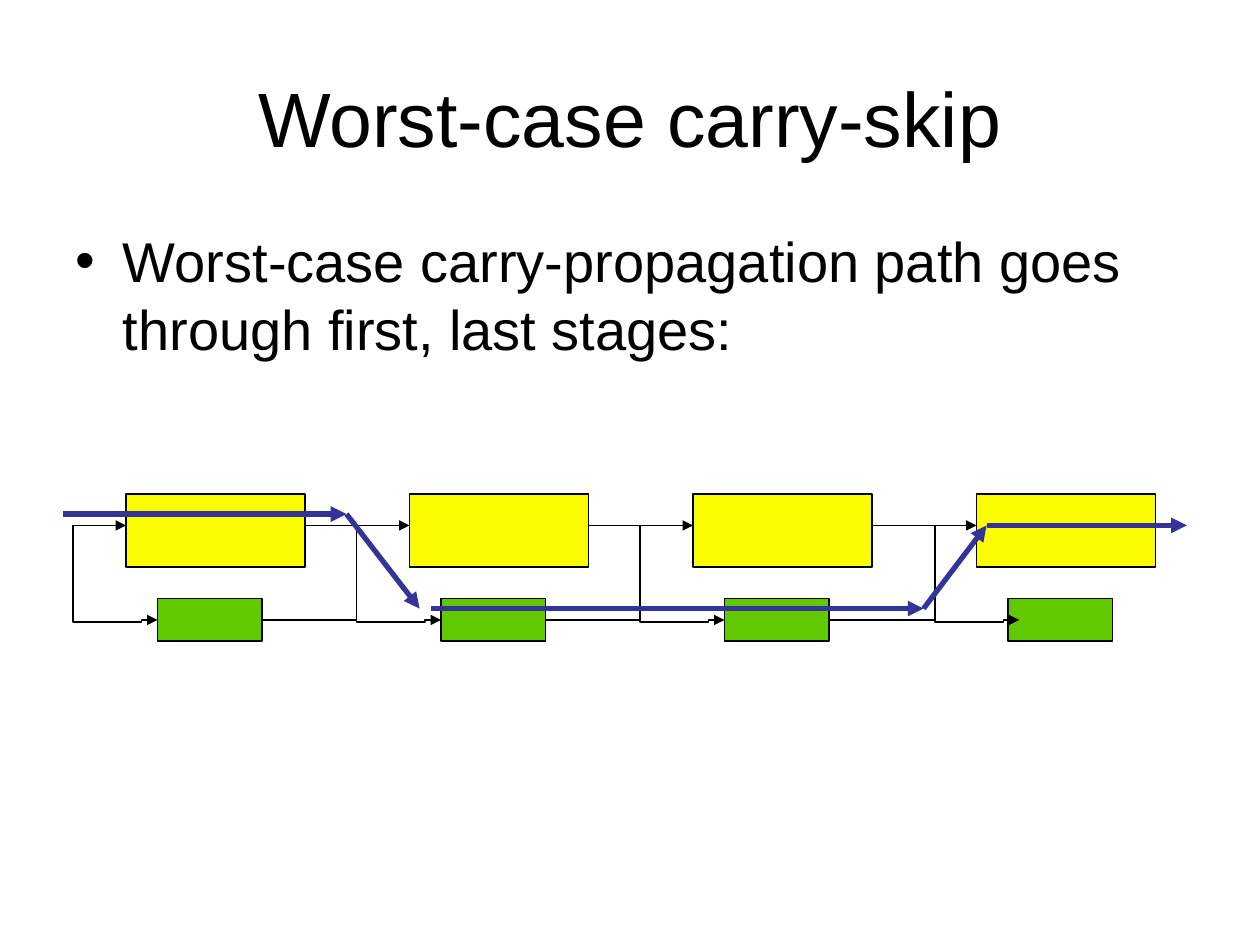
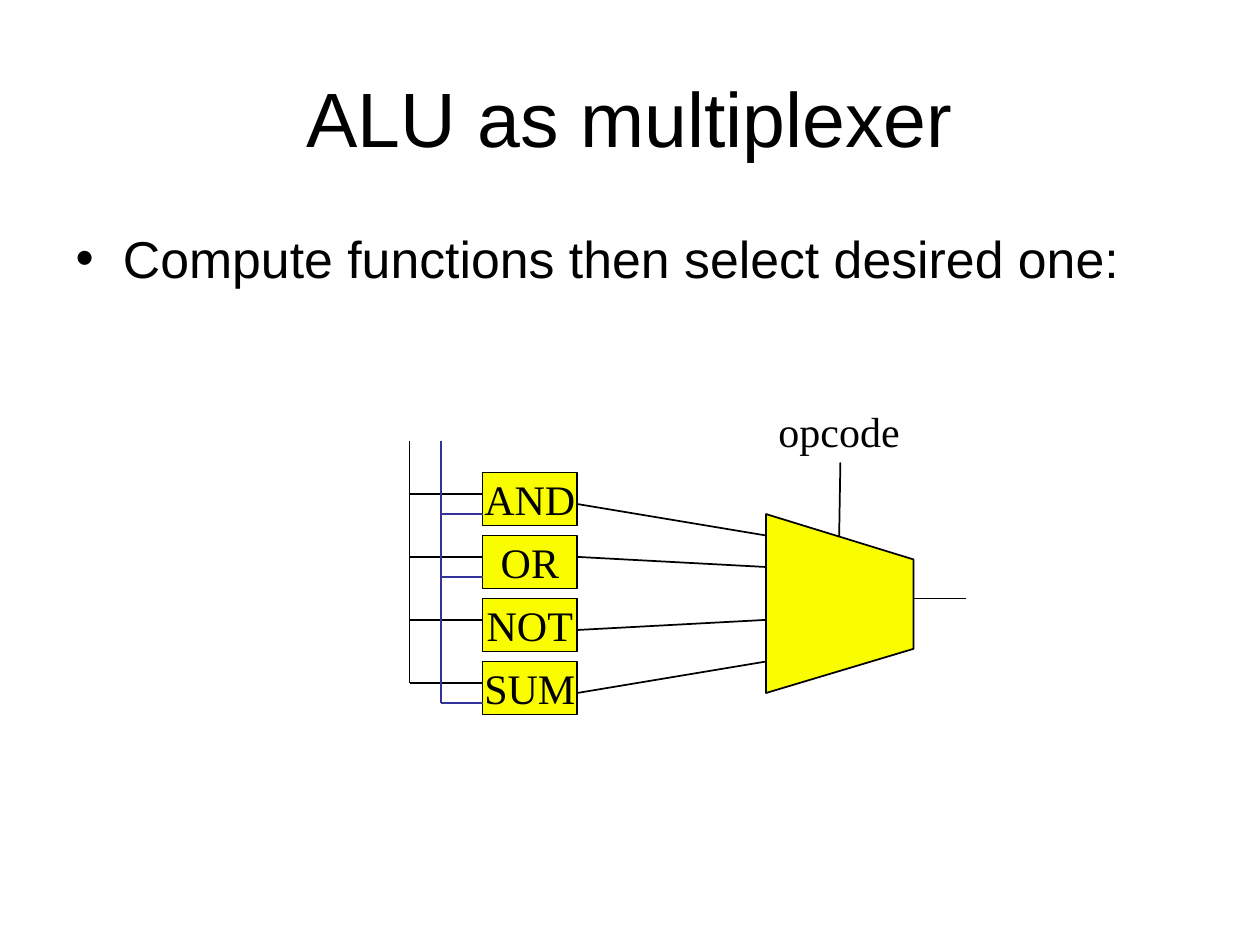
from lxml.etree import SubElement
from pptx import Presentation
from pptx.dml.color import RGBColor
from pptx.enum.shapes import MSO_CONNECTOR, MSO_SHAPE
from pptx.enum.text import MSO_ANCHOR, MSO_AUTO_SIZE, PP_ALIGN
from pptx.oxml.ns import qn
from pptx.util import Inches, Pt

BLACK, YELLOW, GREEN, BLUE = "000000", "FAFD00", "60C900", "333399"
HEADING_FONT, LABEL_FONT = "Arial", "Times New Roman"
RIGHT = 3  # connection site of a rectangle


def color(hex_string):
    return RGBColor.from_string(hex_string)


class SlideBuilder:
    """Holds the deck, its shared style and the slide being built."""

    def __init__(self):
        self.deck = Presentation()
        self.deck.slide_width = Inches(10)
        self.deck.slide_height = Inches(7.5)
        self.slide = None

    def new_slide(self, title, bullet, bullet_size=32, body_height=4.95):
        self.slide = self.deck.slides.add_slide(self.deck.slide_layouts[1])
        heading, body = self.slide.placeholders
        self.place(heading, 0.5, 0.3, 9, 1.25)
        heading.text_frame.vertical_anchor = MSO_ANCHOR.MIDDLE
        self.add_text(heading, title, 44, HEADING_FONT, PP_ALIGN.CENTER)
        self.place(body, 0.5, 1.75, 9, body_height)
        para = self.add_text(body, bullet, bullet_size, HEADING_FONT)
        para.space_before = Pt(8)

    def place(self, shape, left, top, width, height):
        shape.left, shape.top = Inches(left), Inches(top)
        shape.width, shape.height = Inches(width), Inches(height)

    def add_text(self, shape, text, size, font, align=None):
        shape.text_frame.auto_size = MSO_AUTO_SIZE.NONE
        para = shape.text_frame.paragraphs[0]
        para.alignment = align
        span = para.add_run()
        span.text = text
        span.font.size = Pt(size)
        span.font.name = font
        span.font.color.rgb = color(BLACK)
        return para

    def paint(self, shape, fill):
        shape.shadow.inherit = False
        shape.fill.solid()
        shape.fill.fore_color.rgb = color(fill)
        shape.line.color.rgb = color(BLACK)
        shape.line.width = Pt(1)

    def box(self, left, top, width, height, fill, text=None):
        box = self.slide.shapes.add_shape(
            MSO_SHAPE.RECTANGLE, Inches(left), Inches(top), Inches(width), Inches(height))
        self.paint(box, fill)
        if text:
            box.text_frame.word_wrap = False
            box.text_frame.vertical_anchor = MSO_ANCHOR.MIDDLE
            self.add_text(box, text, 24, LABEL_FONT, PP_ALIGN.CENTER)
        return box

    def label(self, left, top, width, height, text):
        box = self.slide.shapes.add_textbox(
            Inches(left), Inches(top), Inches(width), Inches(height))
        box.text_frame.word_wrap = False
        self.add_text(box, text, 24, LABEL_FONT)

    def polygon(self, points, fill):
        corners = [(Inches(x), Inches(y)) for x, y in points]
        builder = self.slide.shapes.build_freeform(*corners[0])
        builder.add_line_segments(corners[1:], close=True)
        self.paint(builder.convert_to_shape(), fill)

    def line(self, start, end, stroke=BLACK, weight=1, arrow=False,
             kind=MSO_CONNECTOR.STRAIGHT):
        line = self.slide.shapes.add_connector(
            kind, *(Inches(value) for value in (*start, *end)))
        line.line.color.rgb = color(stroke)
        line.line.width = Pt(weight)
        properties = line._element.spPr
        if arrow:
            SubElement(properties.find(qn("a:ln")), qn("a:tailEnd"), type="triangle")
        SubElement(properties, qn("a:effectLst"))
        return line

    def branch(self, start, end):
        """Arrow that leaves downwards, then runs right to its end."""
        (x1, y1), (x2, y2) = start, end
        mid_x, mid_y = (x1 + x2) / 2, (y1 + y2) / 2
        half_width, half_height = (y2 - y1) / 2, (x2 - x1) / 2
        line = self.line((mid_x + half_width, mid_y - half_height),
                         (mid_x - half_width, mid_y + half_height),
                         arrow=True, kind=MSO_CONNECTOR.ELBOW)
        properties = line._element.spPr
        properties.find(qn("a:xfrm")).set("rot", str(270 * 60000))
        geometry = properties.find(qn("a:prstGeom"))
        geometry.set("prst", "bentConnector4")
        guides = geometry.find(qn("a:avLst"))
        if guides is None:
            guides = SubElement(geometry, qn("a:avLst"))
        for name, value in (("adj1", 102000), ("adj2", 81200)):
            SubElement(guides, qn("a:gd"), name=name, fmla=f"val {value}")


def carry_skip_slide(page):
    page.new_slide("Worst-case carry-skip",
                   "Worst-case carry-propagation path goes through first, last stages:")
    stages, pitch, carry_y, skip_y = 4, 2.25, 4.17, 4.92
    for stage in range(stages):
        left = 1 + stage * pitch
        node = left - 0.42
        last = stage == stages - 1
        page.box(left, 3.92, 1.42, 0.58, YELLOW)
        skip = page.box(left + 0.25, 4.75, 0.83, 0.34, GREEN)
        page.line((node, carry_y), (left, carry_y), arrow=True)
        shift = 0.09 if last else 0
        page.branch((node + shift, carry_y), (left + 0.25 + shift, skip_y))
        if not last:
            next_node = node + pitch
            page.line((next_node, carry_y), (left + 1.42, carry_y))
            node_end = next_node + (0.09 if stage == stages - 2 else 0)
            page.line((node_end, skip_y), (left + 1.08, skip_y)).end_connect(skip, RIGHT)

    worst_path = [((0.5, 4.08), (2.75, 4.08)), ((2.75, 4.08), (3.33, 4.83)),
                  ((3.42, 4.83), (7.33, 4.83)), ((7.33, 4.83), (7.83, 4.17)),
                  ((7.83, 4.17), (9.42, 4.17))]
    for start, end in worst_path:
        page.line(start, end, BLUE, 3, arrow=True)


def multiplexer_slide(page):
    page.new_slide("ALU as multiplexer", "Compute functions then select desired one:",
                   29.6, 0.82)
    page.polygon([(6.08, 5.5), (7.25, 5.15), (7.25, 4.44), (6.08, 4.08)], YELLOW)
    page.line((6.66, 4.26), (6.67, 3.67))
    page.label(6.08, 3.17, 1.16, 0.5, "opcode")
    page.line((7.25, 4.75), (7.67, 4.75))

    bus_a, bus_b, bus_top, gate_left = 3.25, 3.5, 3.5, 3.83
    gates = [("AND", 4, 4.25), ("OR", 4.42, 4.5), ("NOT", 5, 4.92), ("SUM", 5.5, 5.25)]
    for row, (name, output_y, mux_y) in enumerate(gates):
        top = 3.75 + row * 0.5
        page.box(gate_left, top, 0.75, 0.42, YELLOW, name)
        page.line((gate_left + 0.75, output_y), (6.08, mux_y))
        page.line((bus_a, top + 0.17), (gate_left, top + 0.17))
        if name != "NOT":
            page.line((bus_b, top + 0.33), (gate_left, top + 0.33), BLUE)
    page.line((bus_a, bus_top), (bus_a, 5.42))
    page.line((bus_b, bus_top), (bus_b, 5.58), BLUE)


def main():
    page = SlideBuilder()
    carry_skip_slide(page)
    multiplexer_slide(page)
    page.deck.save("out.pptx")


if __name__ == "__main__":
    main()
